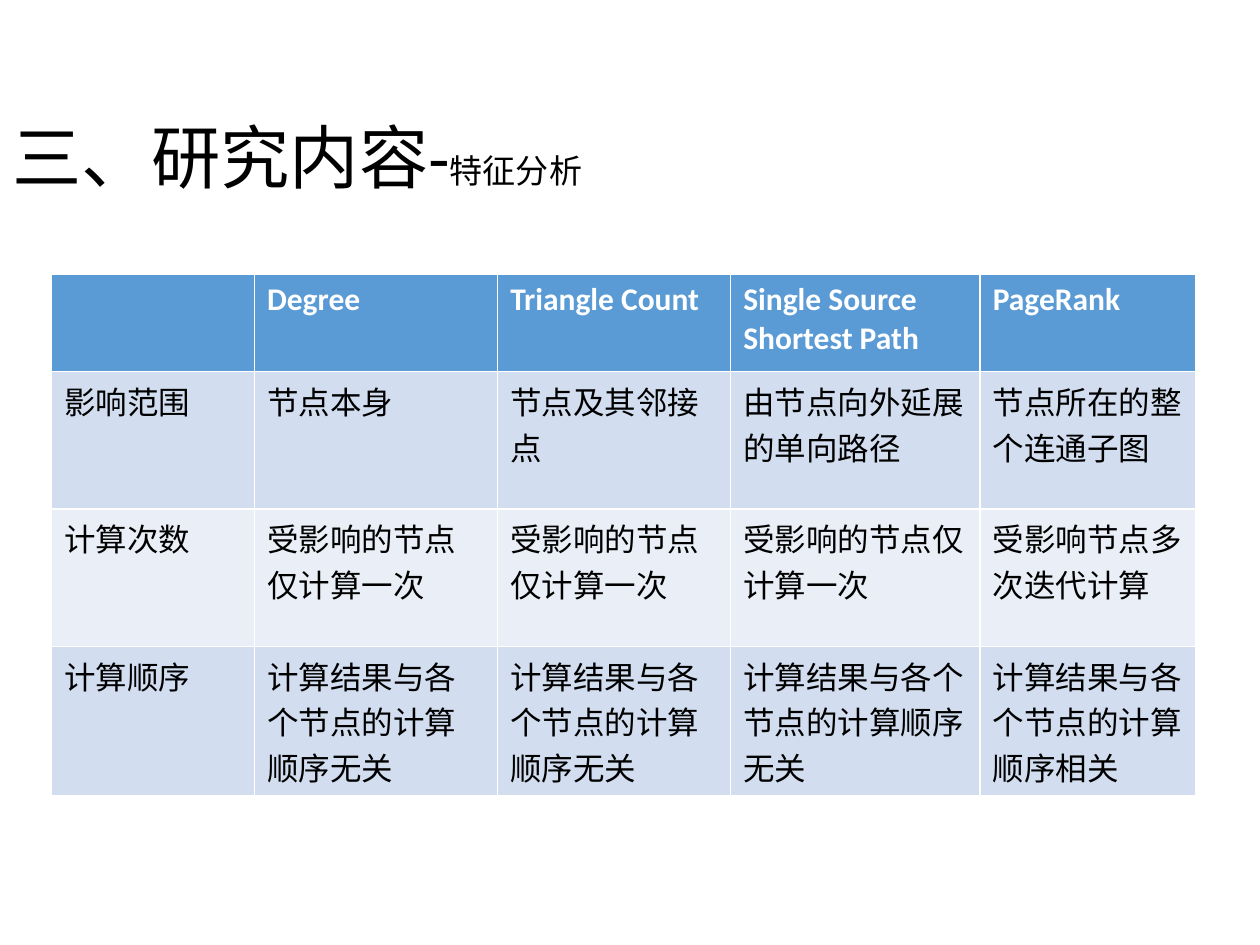
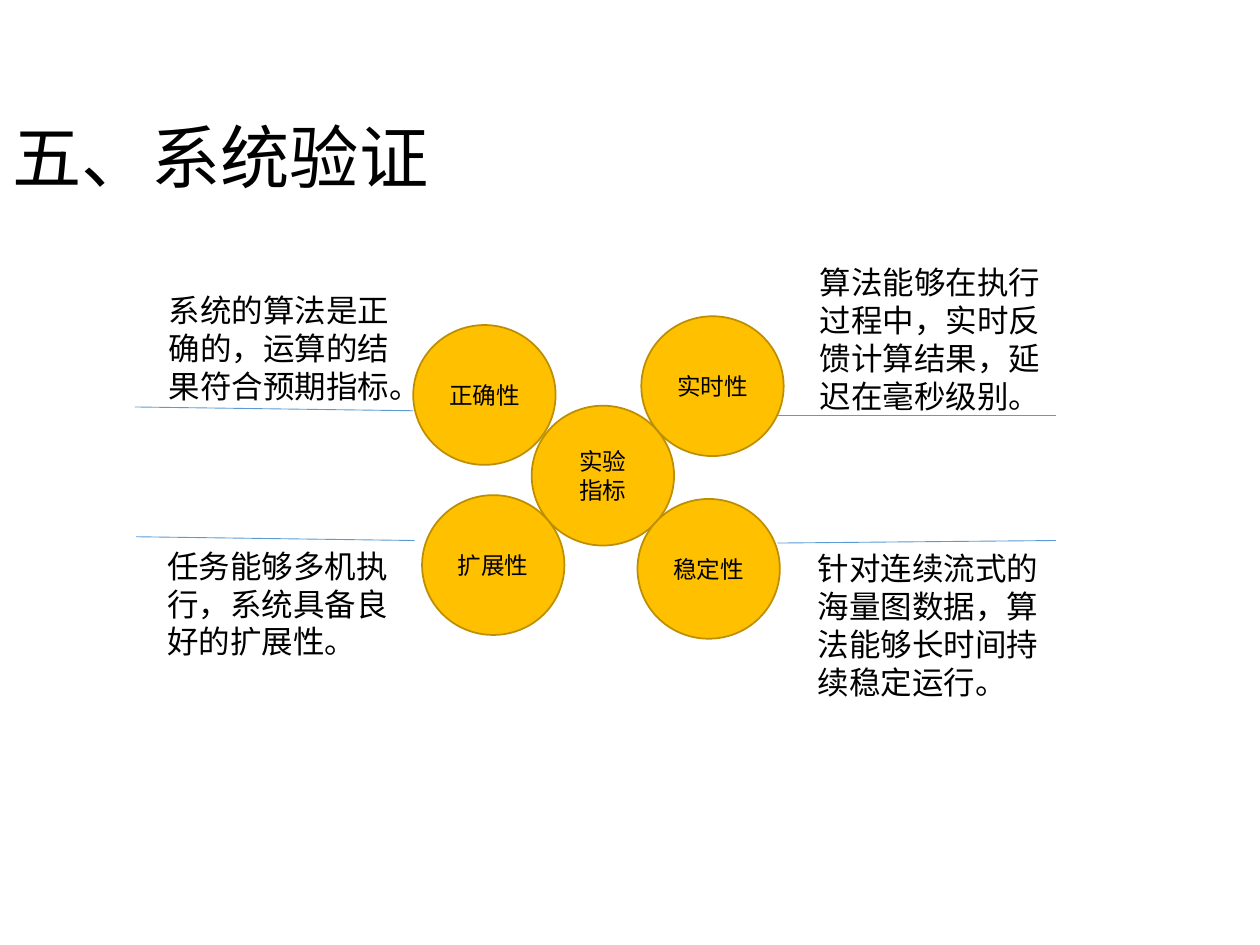
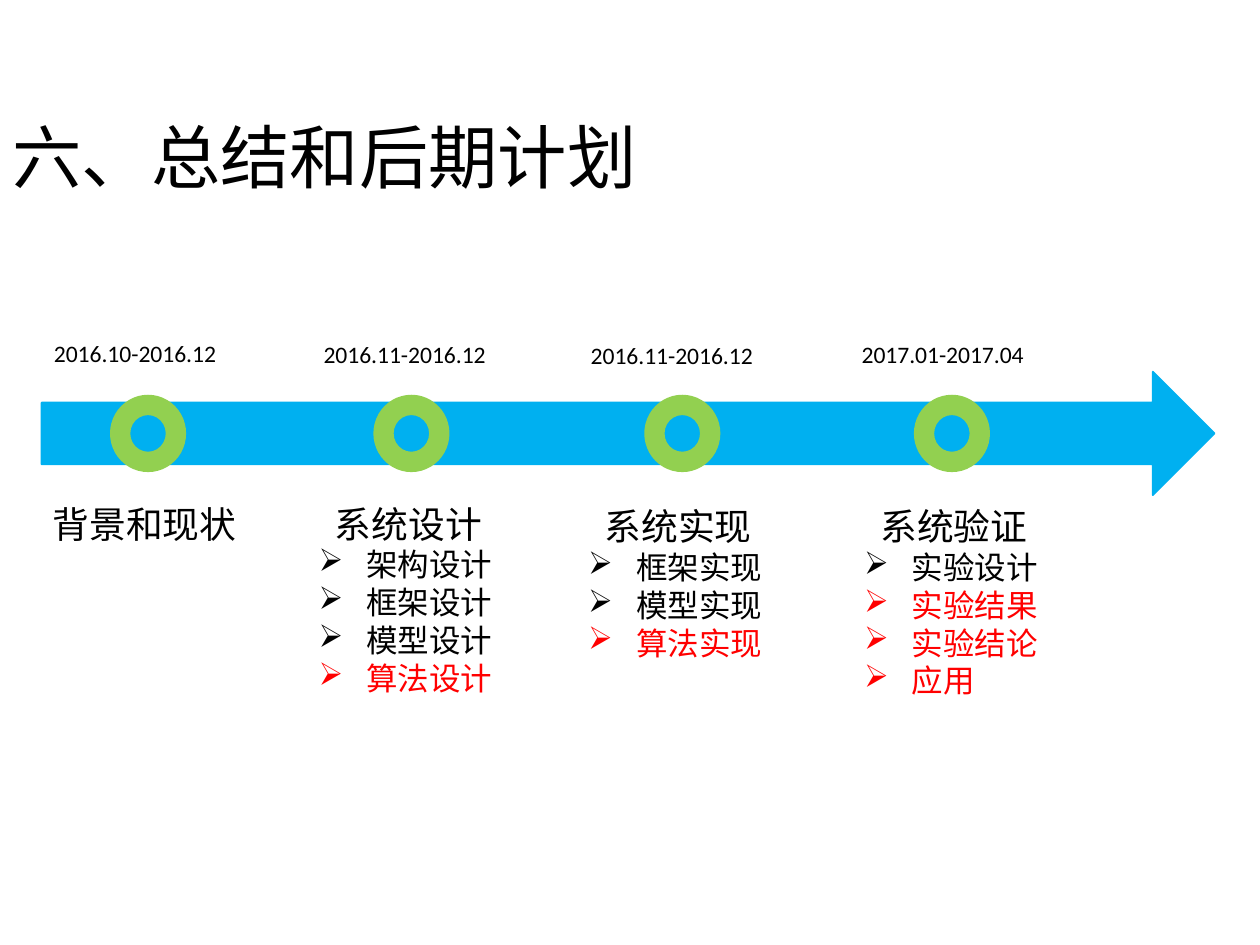
from dataclasses import dataclass

from lxml import etree
from pptx import Presentation
from pptx.dml.color import RGBColor
from pptx.enum.shapes import MSO_CONNECTOR, MSO_SHAPE
from pptx.enum.text import MSO_ANCHOR, MSO_AUTO_SIZE, PP_ALIGN
from pptx.oxml.ns import qn
from pptx.util import Inches, Pt

CIRCLE = MSO_SHAPE.FLOWCHART_CONNECTOR
ARROW = MSO_SHAPE.RIGHT_ARROW
DONUT = MSO_SHAPE.DONUT
STRAIGHT = MSO_CONNECTOR.STRAIGHT
MIDDLE = MSO_ANCHOR.MIDDLE
LEFT = PP_ALIGN.LEFT
CENTER = PP_ALIGN.CENTER
NO_FIT = MSO_AUTO_SIZE.NONE
FIT_SHAPE = MSO_AUTO_SIZE.SHAPE_TO_FIT_TEXT

FONT = "Calibri"
BLACK, WHITE, RED = "000000", "FFFFFF", "FF0000"
BLUE, BAND_DARK, BAND_LIGHT = "5B9BD5", "D2DEEF", "EAEFF7"
GOLD, GOLD_EDGE = "FFC000", "BD8E00"
SKY, GREEN = "00B0F0", "92D050"

TITLE_ONLY = 5
TITLE_SIZE, SUBTITLE_SIZE = 39.6, 18.9
HEADING_SIZE, BODY_SIZE, SMALL_SIZE = 21, 18, 13.5
CIRCLE_WIDTH, CIRCLE_HEIGHT = 1.13, 1.11
NOTE_WIDTH = 2.13
DONUT_TOP, DONUT_WIDTH, DONUT_HEIGHT = 3.14, 0.59, 0.6
BULLET_INDENT, HEADING_INDENT = 0.38, 0.13

COLUMN_WIDTHS = (1.61, 1.93, 1.85, 1.98, 1.71)
ROW_HEIGHTS = (0.77, 1.09, 1.09, 1.09)
ONCE = "受影响的节点仅计算一次"
UNORDERED = "计算结果与各个节点的计算顺序无关"
FEATURES = (
    ("", "Degree", "Triangle Count", "Single Source Shortest Path", "PageRank"),
    ("影响范围", "节点本身", "节点及其邻接点", "由节点向外延展的单向路径",
     "节点所在的整个连通子图"),
    ("计算次数", ONCE, ONCE, ONCE, "受影响节点多次迭代计算"),
    ("计算顺序", UNORDERED, UNORDERED, UNORDERED, "计算结果与各个节点的计算顺序相关"),
)


@dataclass(frozen=True)
class Metric:
    """A circle of the experiment diagram."""
    left: float
    top: float
    lines: tuple


@dataclass(frozen=True)
class Note:
    """An explanation beside a circle."""
    left: float
    top: float
    height: float
    text: str


@dataclass(frozen=True)
class Rule:
    """A thin line between two points."""
    start: tuple
    end: tuple


@dataclass(frozen=True)
class Phase:
    """A milestone of the project timeline."""
    donut_left: float
    dates: str
    dates_left: float
    dates_top: float
    heading: str
    text_left: float
    text_top: float
    done: tuple = ()
    planned: tuple = ()


METRICS = (
    Metric(4.22, 3.22, ("实验", "指标")),
    Metric(5.09, 2.51, ("实时性",)),
    Metric(5.06, 3.96, ("稳定性",)),
    Metric(3.28, 2.58, ("正确性",)),
    Metric(3.35, 3.93, ("扩展性",)),
)
NOTES = (
    Note(1.24, 2.26, 1.01, "系统的算法是正确的，运算的结果符合预期指标。"),
    Note(6.41, 2.04, 1.31, "算法能够在执行过程中，实时反馈计算结果，延迟在毫秒级别。"),
    Note(6.39, 4.31, 1.31, "针对连续流式的海量图数据，算法能够长时间持续稳定运行。"),
    Note(1.23, 4.29, 1.01, "任务能够多机执行，系统具备良好的扩展性。"),
)
RULES = (
    Rule((3.28, 3.26), (1.07, 3.23)),
    Rule((8.38, 3.3), (6.17, 3.3)),
    Rule((3.29, 4.29), (1.08, 4.26)),
    Rule((8.38, 4.29), (6.17, 4.31)),
)
PHASES = (
    Phase(0.88, "2016.10-2016.12", 0.33, 2.64, "背景和现状", 0.32, 3.93),
    Phase(2.97, "2016.11-2016.12", 2.47, 2.65, "系统设计", 2.43, 3.93,
          ("架构设计", "框架设计", "模型设计"), ("算法设计",)),
    Phase(5.12, "2016.11-2016.12", 4.59, 2.66, "系统实现", 4.57, 3.95,
          ("框架实现", "模型实现"), ("算法实现",)),
    Phase(7.26, "2017.01-2017.04", 6.74, 2.65, "系统验证", 6.76, 3.95,
          ("实验设计",), ("实验结果", "实验结论", "应用")),
)


def rgb(value: str) -> RGBColor:
    """Turn a hex string into a colour."""
    return RGBColor.from_string(value)


def add_span(para, text: str, size: float, color: str = BLACK, bold: bool = False,
             east_asian: bool = True) -> None:
    """Add one formatted run to a paragraph."""
    span = para.add_run()
    span.text = text
    span.font.name = FONT
    span.font.size = Pt(size)
    span.font.bold = bold
    span.font.color.rgb = rgb(color)
    if east_asian:
        etree.SubElement(span.font._element, qn("a:ea")).set("typeface", FONT)


def next_para(frame, first: bool):
    """Return the first paragraph of a frame or a new one."""
    return frame.paragraphs[0] if first else frame.add_paragraph()


def indent(para, left: float, first: float = 0):
    """Set the left and first-line indents and return the properties."""
    properties = para._p.get_or_add_pPr()
    properties.set("marL", str(Inches(left)))
    properties.set("indent", str(Inches(first)))
    return properties


def add_bullet(frame, text: str, color: str) -> None:
    """Add a paragraph with an arrowhead bullet."""
    para = frame.add_paragraph()
    properties = indent(para, BULLET_INDENT, -BULLET_INDENT)
    etree.SubElement(properties, qn("a:buChar")).set("char", "➢")
    add_span(para, text, BODY_SIZE, color)


def add_page(deck, title: str, subtitle: str = ""):
    """Add a page with the shared title style."""
    page = deck.slides.add_slide(deck.slide_layouts[TITLE_ONLY])
    box = page.shapes.title
    box.left, box.top = Inches(0), Inches(0.92)
    box.width, box.height = Inches(8.62), Inches(0.71)
    frame = box.text_frame
    frame.auto_size = NO_FIT
    frame.vertical_anchor = MIDDLE
    para = frame.paragraphs[0]
    para.alignment = LEFT
    para.line_spacing = 0.9
    add_span(para, title, TITLE_SIZE)
    if subtitle:
        add_span(para, subtitle, SUBTITLE_SIZE)
    return page


def add_box(page, left: float, top: float, width: float, height: float):
    """Add a wrapping text box and return its text frame."""
    box = page.shapes.add_textbox(Inches(left), Inches(top), Inches(width), Inches(height))
    frame = box.text_frame
    frame.word_wrap = True
    frame.auto_size = FIT_SHAPE
    return frame


def add_figure(page, kind, left: float, top: float, width: float, height: float,
               fill: str, edge: str):
    """Add a flat preset shape with a one-point outline."""
    figure = page.shapes.add_shape(kind, Inches(left), Inches(top),
                                   Inches(width), Inches(height))
    figure.shadow.inherit = False
    figure.fill.solid()
    figure.fill.fore_color.rgb = rgb(fill)
    figure.line.color.rgb = rgb(edge)
    figure.line.width = Pt(1)
    return figure


def add_metric(page, metric: Metric) -> None:
    """Draw a labelled circle."""
    circle = add_figure(page, CIRCLE, metric.left, metric.top,
                        CIRCLE_WIDTH, CIRCLE_HEIGHT, GOLD, GOLD_EDGE)
    frame = circle.text_frame
    frame.vertical_anchor = MIDDLE
    for index, line in enumerate(metric.lines):
        para = next_para(frame, index == 0)
        para.alignment = CENTER
        add_span(para, line, SMALL_SIZE)


def add_note(page, note: Note) -> None:
    """Write an explanation."""
    frame = add_box(page, note.left, note.top, NOTE_WIDTH, note.height)
    add_span(frame.paragraphs[0], note.text, BODY_SIZE)


def add_rule(page, rule: Rule) -> None:
    """Draw a thin blue line."""
    points = [Inches(value) for value in rule.start + rule.end]
    line = page.shapes.add_connector(STRAIGHT, *points)
    line.line.color.rgb = rgb(BLUE)
    line.line.width = Pt(0.5)
    etree.SubElement(line._element.spPr, qn("a:effectLst"))


def add_phase(page, phase: Phase) -> None:
    """Draw a milestone with its dates and tasks."""
    add_figure(page, DONUT, phase.donut_left, DONUT_TOP,
               DONUT_WIDTH, DONUT_HEIGHT, GREEN, GREEN)
    dates = add_box(page, phase.dates_left, phase.dates_top, 1.63, 0.33)
    add_span(dates.paragraphs[0], phase.dates, SMALL_SIZE)
    tasks = add_box(page, phase.text_left, phase.text_top, 1.67,
                    1.67 if phase.done else 0.45)
    heading = tasks.paragraphs[0]
    if phase.done:
        indent(heading, HEADING_INDENT)
    add_span(heading, phase.heading, HEADING_SIZE)
    for names, color in ((phase.done, BLACK), (phase.planned, RED)):
        for name in names:
            add_bullet(tasks, name, color)


def add_feature_table(page) -> None:
    """Add the table comparing the algorithms."""
    table = page.shapes.add_table(
        len(ROW_HEIGHTS), len(COLUMN_WIDTHS), Inches(0.41), Inches(2.18),
        Inches(sum(COLUMN_WIDTHS)), Inches(sum(ROW_HEIGHTS))).table
    for column, width in zip(table.columns, COLUMN_WIDTHS):
        column.width = Inches(width)
    for number, (row, height) in enumerate(zip(table.rows, ROW_HEIGHTS)):
        row.height = Inches(height)
        header = number == 0
        band = BLUE if header else (BAND_LIGHT, BAND_DARK)[number % 2]
        for cell, text in zip(row.cells, FEATURES[number]):
            cell.fill.solid()
            cell.fill.fore_color.rgb = rgb(band)
            if text:
                add_span(cell.text_frame.paragraphs[0], text, BODY_SIZE,
                         WHITE if header else BLACK, header, east_asian=False)


def build_features(deck) -> None:
    """Build the feature analysis page."""
    add_feature_table(add_page(deck, "三、研究内容-", "特征分析"))


def build_validation(deck) -> None:
    """Build the system validation page."""
    page = add_page(deck, "五、系统验证")
    for metric in METRICS:
        add_metric(page, metric)
    for note in NOTES:
        add_note(page, note)
    for rule in RULES:
        add_rule(page, rule)


def build_plan(deck) -> None:
    """Build the summary and plan page."""
    page = add_page(deck, "六、总结和后期计划")
    add_figure(page, ARROW, 0.33, 2.95, 9.31, 0.98, SKY, SKY)
    for phase in PHASES:
        add_phase(page, phase)


def main() -> None:
    """Build and save the deck."""
    deck = Presentation()
    deck.slide_width, deck.slide_height = Inches(10), Inches(7.5)
    build_features(deck)
    build_validation(deck)
    build_plan(deck)
    deck.save("out.pptx")


if __name__ == "__main__":
    main()
